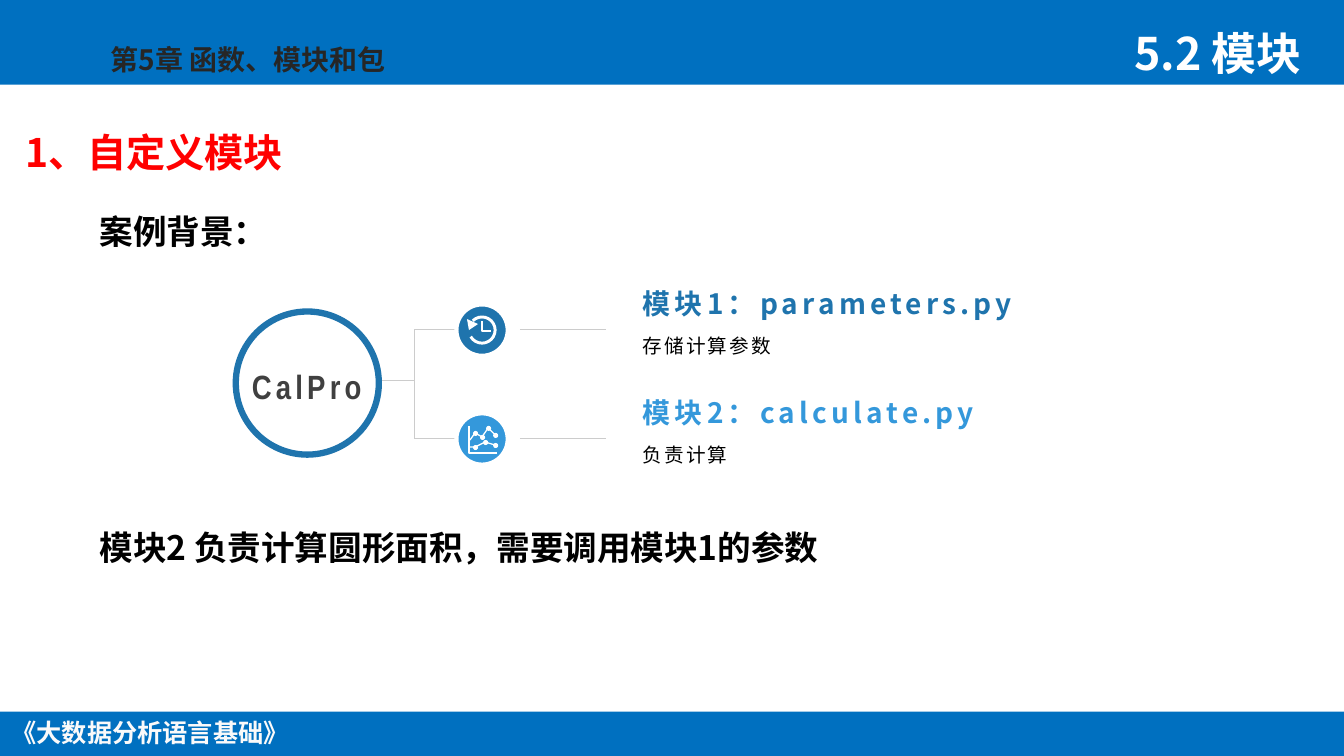
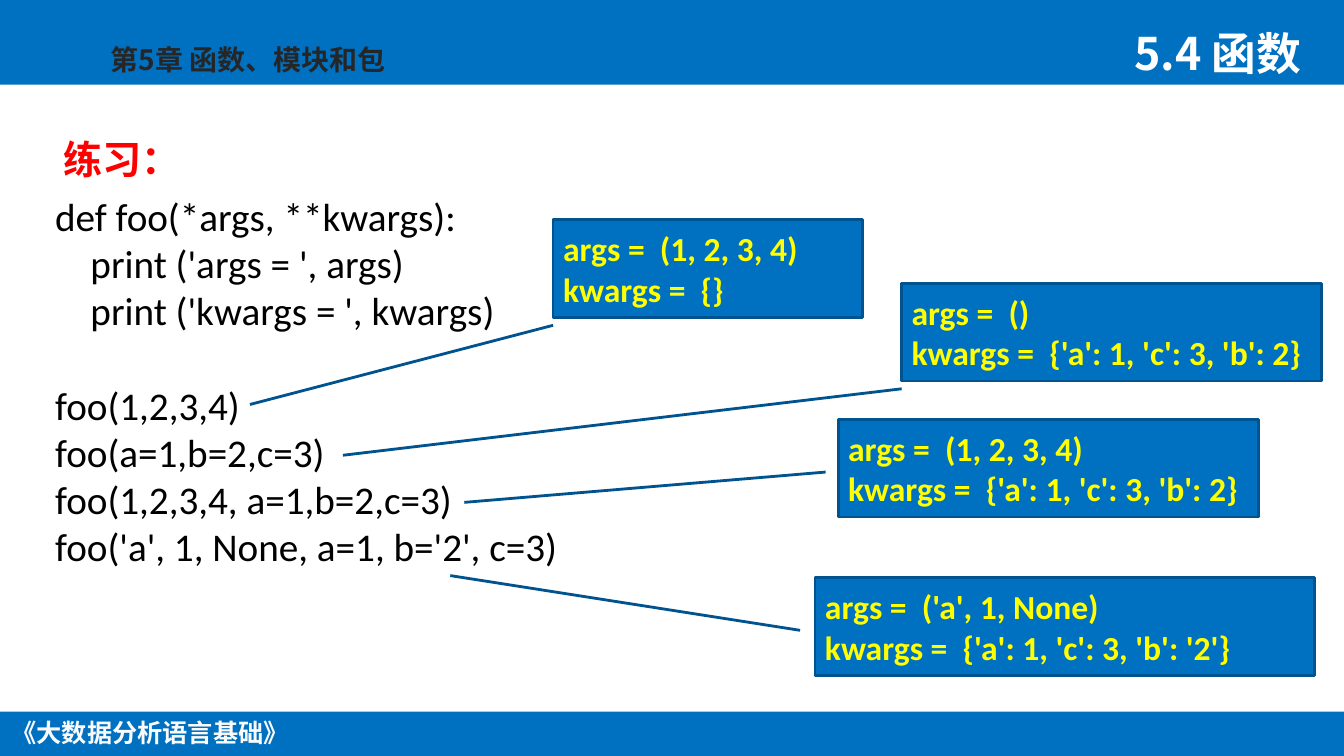
from math import cos, radians, sin

from pptx import Presentation
from pptx.dml.color import RGBColor
from pptx.enum.dml import MSO_LINE as Dash
from pptx.enum.shapes import MSO_CONNECTOR as Conn, MSO_SHAPE as Kind
from pptx.enum.text import MSO_ANCHOR as Anchor, PP_ALIGN as Align
from pptx.oxml.ns import qn
from pptx.util import Inches, Pt
from lxml.etree import SubElement

BLUE = RGBColor(0x00, 0x70, 0xC0)
NAVY = RGBColor(0x00, 0x53, 0x8E)
DEEP = RGBColor(0x1F, 0x74, 0xAD)
SKY = RGBColor(0x34, 0x98, 0xDB)
WHITE = RGBColor(0xFF, 0xFF, 0xFF)
PALE = RGBColor(0xFA, 0xFA, 0xFA)
BLACK = RGBColor(0x00, 0x00, 0x00)
DARK = RGBColor(0x26, 0x26, 0x26)
GREY = RGBColor(0x40, 0x40, 0x40)
RULE = RGBColor(0xCC, 0xCC, 0xCC)
RED = RGBColor(0xFF, 0x00, 0x00)
YELLOW = RGBColor(0xFF, 0xFF, 0x00)

NOTO = "Noto Sans CJK SC"
CALIBRI = "Calibri"
NARROW = "Arial Narrow"
WIDE, HIGH = 13.34, 7.5


def style(frame, size, color, font=NOTO, bold=True, track=0, align=Align.LEFT, lead=None):
    """Format every paragraph and run of a text frame."""
    for para in frame.paragraphs:
        para.alignment = align
        if lead:
            para.line_spacing = lead
        for run in para.runs:
            run.font.size = Pt(size)
            run.font.bold = bold
            run.font.name = font
            run.font.color.rgb = color
            props = run._r.get_or_add_rPr()
            SubElement(props, qn("a:ea")).set("typeface", NOTO)
            if track:
                props.set("spc", str(int(track * 100)))


def label(slide, box, text, size, color, wrap=True, **look):
    """Add a styled text box and return its frame."""
    frame = slide.shapes.add_textbox(*map(Inches, box)).text_frame
    frame.word_wrap = wrap
    frame.text = text
    style(frame, size, color, **look)
    return frame


def block(slide, kind, box, fill, edge=None, width=1):
    """Add a flat filled shape with an optional outline."""
    shape = slide.shapes.add_shape(kind, *map(Inches, box))
    shape.shadow.inherit = False
    shape.fill.solid()
    shape.fill.fore_color.rgb = fill
    if edge is None:
        shape.line.fill.background()
    else:
        shape.line.color.rgb = edge
        shape.line.width = Pt(width)
    return shape


def rule(slide, x1, y1, x2, y2):
    """Add a thin grey straight line."""
    line = slide.shapes.add_connector(Conn.STRAIGHT, *map(Inches, (x1, y1, x2, y2)))
    line.line.color.rgb = RULE
    line.line.width = Pt(0.5)
    SubElement(line._element.spPr, qn("a:effectLst"))


def trace(slide, mid, points, width=None, dash=None):
    """Draw a white path around a centre, filled when it has no width."""
    spots = [(Inches(mid[0] + x), Inches(mid[1] + y)) for x, y in points]
    pen = slide.shapes.build_freeform(*spots[0], scale=1.0)
    pen.add_line_segments(spots[1:], close=width is None)
    shape = pen.convert_to_shape()
    shape.shadow.inherit = False
    if width is None:
        shape.fill.solid()
        shape.fill.fore_color.rgb = WHITE
        shape.line.fill.background()
    else:
        shape.fill.background()
        shape.line.color.rgb = WHITE
        shape.line.width = Pt(width)
        if dash:
            shape.line.dash_style = dash


def clock(slide, mid):
    """Draw the history clock icon."""
    turns = [radians(a) for a in range(150, -136, -15)]
    trace(slide, mid, [(0.13 * cos(a), 0.13 * sin(a)) for a in turns], 2.1)
    trace(slide, mid, [(-0.15, -0.11), (-0.04, -0.06), (-0.13, 0)])
    trace(slide, mid, [(0, -0.09), (0, 0.01), (0.09, 0.01)], 1.8)


def graph(slide, mid):
    """Draw the line chart icon."""
    axis = [(-0.13, -0.13), (-0.13, 0.14), (0.15, 0.14)]
    trace(slide, mid, axis, 0.9)
    trace(slide, mid, axis, 2, Dash.ROUND_DOT)
    upper = [(-0.12, 0.01), (-0.07, -0.06), (0, -0.02), (0.06, -0.11), (0.13, -0.04)]
    lower = [(-0.13, 0.08), (-0.07, 0.08), (0.03, 0.03), (0.13, 0.06)]
    for series in (upper, lower):
        trace(slide, mid, series, 0.9)
        for x, y in series[1:]:
            box = (mid[0] + x - 0.02, mid[1] + y - 0.02, 0.05, 0.05)
            block(slide, Kind.OVAL, box, WHITE)


def branch(slide, left, top, color, icon, name, note):
    """Place one module row: lines, icon disc, name and note."""
    y = top + 0.53
    rule(slide, left, y, left + 0.72, y)
    disc = 0.51
    block(slide, Kind.OVAL, (left + 0.42, y - 0.25, disc, disc), color, WHITE, 3)
    icon(slide, (left + 0.42 + disc / 2, y - 0.25 + disc / 2))
    rule(slide, left + 1.05, y, left + 1.91, y)
    label(slide, (left + 2.17, y - 0.05, 2.9, 0.44), note, 14, BLACK,
          bold=False, track=1.5, lead=1.2)
    head = label(slide, (left + 2.17, top, 4.39, 0.44), name, 20, color, track=3, lead=1.2)
    head.vertical_anchor = Anchor.BOTTOM
    head.margin_bottom = 0


def tree(slide, left, top):
    """Place the project ring and its two module branches."""
    block(slide, Kind.OVAL, (left, top + 0.35, 1.42, 1.42), WHITE, DEEP, 4.5)
    label(slide, (left - 0.18, top + 0.76, 1.77, 0.51), "CalPro", 24, GREY,
          font=NARROW, track=3, align=Align.CENTER, lead=1.2)
    stem, step = left + 1.77, 1.08
    rule(slide, left + 1.45, top + 1.03, stem, top + 1.03)
    rule(slide, stem, top + 0.53, stem, top + 0.53 + step)
    rows = [(DEEP, clock, "模块1：parameters.py", "存储计算参数"),
            (SKY, graph, "模块2：calculate.py", "负责计算")]
    for i, row in enumerate(rows):
        branch(slide, stem, top + i * step, *row)


def code(slide, box):
    """Place the code listing with indented body lines."""
    lines = ["def foo(*args, **kwargs):", "print ('args = ', args)",
             "print ('kwargs = ', kwargs)", "foo(1,2,3,4)", "foo(a=1,b=2,c=3)",
             "foo(1,2,3,4, a=1,b=2,c=3)", "foo('a', 1, None, a=1, b='2', c=3)"]
    frame = label(slide, box, "\n".join(lines), 28, BLACK, font=CALIBRI, bold=False)
    for para in frame.paragraphs[1:3]:
        para._p.get_or_add_pPr().set("marL", str(Inches(0.35)))
    frame.paragraphs[3].space_before = Pt(34)


def callout(slide, box, text, ends):
    """Place a result box whose leader runs to the matching call."""
    shape = block(slide, Kind.LINE_CALLOUT_1, box, BLUE, NAVY, 2)
    for i, end in enumerate(ends):
        shape.adjustments[i] = end
    frame = shape.text_frame
    frame.word_wrap = True
    frame.vertical_anchor = Anchor.MIDDLE
    frame.text = text
    style(frame, 24, YELLOW, font=CALIBRI)


def page(deck, title):
    """Add a slide with the shared bands, chapter, footer and title."""
    slide = deck.slides.add_slide(deck.slide_layouts[6])
    block(slide, Kind.RECTANGLE, (0, 0, WIDE, 0.84), BLUE)
    block(slide, Kind.RECTANGLE, (0, 7.06, WIDE, HIGH - 7.06), BLUE)
    label(slide, (0, 7.07, 2.98, 0.4), "《大数据分析语言基础》", 18, PALE,
          wrap=False, align=Align.CENTER)
    label(slide, (1, 0.37, 3.78, 0.44), "第5章 函数、模块和包", 20, DARK)
    label(slide, (11.16, 0.21, 2.21, 0.64), title, 32, WHITE)
    return slide


def modules(deck):
    """Build the slide on custom modules."""
    slide = page(deck, "5.2 模块")
    label(slide, (0.15, 0.99, 12.28, 0.81), "1、自定义模块", 28, RED,
          align=Align.JUSTIFY, lead=1.5)
    label(slide, (0.89, 2.04, 1.87, 0.5), "案例背景：", 24, BLACK, wrap=False)
    tree(slide, 2.34, 2.74)
    label(slide, (0.89, 5.18, 7.38, 0.5),
          "模块2 负责计算圆形面积，需要调用模块1的参数", 24, BLACK)


def drill(deck):
    """Build the exercise slide on variable arguments."""
    slide = page(deck, "5.4 函数")
    code(slide, (0.45, 1.86, 6.67, 4.34))
    notes = [
        ((5.49, 2.18, 3.07), "(1, 2, 3, 4)", "{}", (1.08, 0, 1.89, -0.98)),
        ((8.95, 2.81, 4.17), "()", "{'a': 1, 'c': 3, 'b': 2}", (1.08, 0, 1.76, -1.33)),
        ((8.32, 4.16, 4.17), "(1, 2, 3, 4)", "{'a': 1, 'c': 3, 'b': 2}",
         (0.54, -0.03, 0.85, -0.89)),
        ((8.09, 5.73, 4.96), "('a', 1, None)", "{'a': 1, 'c': 3, 'b': '2'}",
         (0.54, -0.03, -0.02, -0.73)),
    ]
    for spot, args, pairs, ends in notes:
        callout(slide, (*spot, 0.97), f"args =  {args}\nkwargs =  {pairs}", ends)
    label(slide, (0.53, 1.29, 1.39, 0.57), "练习：", 28, RED, wrap=False, font=CALIBRI)


def main():
    """Build and save the deck."""
    deck = Presentation()
    deck.slide_width, deck.slide_height = Inches(WIDE), Inches(HIGH)
    modules(deck)
    drill(deck)
    deck.save("out.pptx")


if __name__ == "__main__":
    main()
